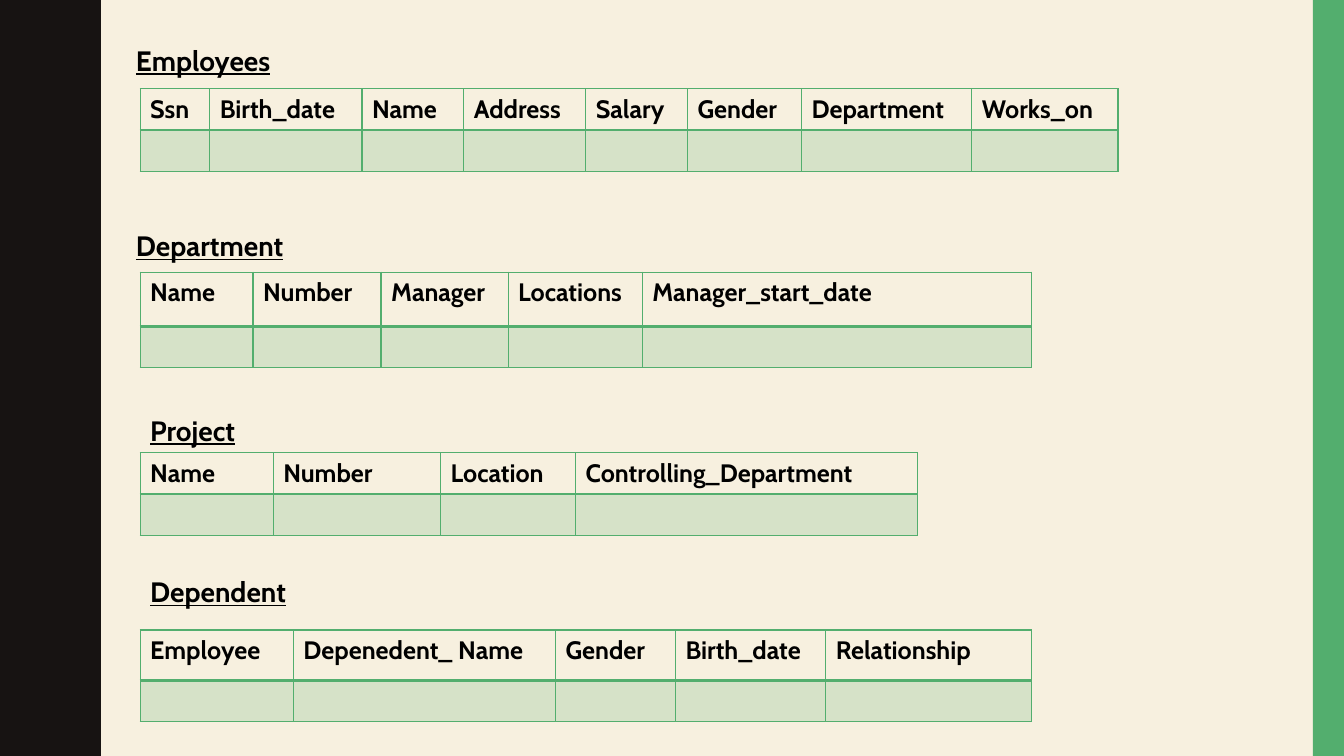
from dataclasses import dataclass

from lxml import etree
from pptx import Presentation
from pptx.dml.color import RGBColor
from pptx.enum.shapes import MSO_SHAPE
from pptx.enum.text import MSO_AUTO_SIZE
from pptx.oxml.ns import qn
from pptx.util import Inches, Pt

RECTANGLE = MSO_SHAPE.RECTANGLE
FIT_SHAPE = MSO_AUTO_SIZE.SHAPE_TO_FIT_TEXT

# Content: caption, its left and top, table top, header height, (column, width)
RELATIONS = [
    ("Employees", 1.25, 0.38, 0.88, 0.41, [
        ("Ssn", 0.69), ("Birth_date", 1.51), ("Name", 1.01), ("Address", 1.21),
        ("Salary", 1.01), ("Gender", 1.13), ("Department", 1.69), ("Works_on", 1.45)]),
    ("Department", 1.25, 2.22, 2.7, 0.54, [
        ("Name", 1.12), ("Number", 1.27), ("Manager", 1.26), ("Locations", 1.33),
        ("Manager_start_date", 3.86)]),
    ("Project", 1.39, 4.05, 4.49, 0.41, [
        ("Name", 1.32), ("Number", 1.66), ("Location", 1.34),
        ("Controlling_Department", 3.39)]),
    ("Dependent", 1.39, 5.65, 6.25, 0.5, [
        ("Employee", 1.52), ("Depenedent_ Name", 2.6), ("Gender", 1.19),
        ("Birth_date", 1.49), ("Relationship", 2.04)]),
]

# Layout in inches
SLIDE_WIDTH, SLIDE_HEIGHT = 13.33, 7.5
TABLE_LEFT = 1.39
BODY_HEIGHT = 0.41
CAPTION_WIDTH, CAPTION_HEIGHT = 3.79, 0.44
STRIPE_WIDTH = 0.31
WAVE_PERIOD, WAVE_COUNT = 1.5, 5
HALF_WAVE = [
    (0.78, 0), (0.78, 0.07), (0.79, 0.14), (0.8, 0.2), (0.81, 0.25),
    (0.83, 0.29), (0.85, 0.33), (0.87, 0.38), (0.89, 0.42), (0.91, 0.46),
    (0.93, 0.5), (0.95, 0.55), (0.96, 0.61), (0.97, 0.68), (0.97, 0.75)]


@dataclass(frozen=True)
class Theme:
    font: str = "Cabin"
    background: str = "F7F0DF"
    dark: str = "171312"
    green: str = "53AE6E"
    text: str = "000000"
    caption_size: int = 20
    cell_size: int = 18
    thin: int = 1
    thick: int = 2
    body_alpha: int = 20


THEME = Theme()


def color(value):
    return RGBColor.from_string(value)


def paint(shape, value):
    shape.shadow.inherit = False
    shape.fill.solid()
    shape.fill.fore_color.rgb = color(value)
    shape.line.fill.background()


def add_text(paragraph, text, size, underline=False):
    run = paragraph.add_run()
    run.text = text
    font = run.font
    font.name = THEME.font
    font.size = Pt(size)
    font.bold = True
    font.underline = underline
    font.color.rgb = color(THEME.text)


def add_borders(cell, bottom_width):
    properties = cell._tc.get_or_add_tcPr()
    for side in "LRTB":
        width = bottom_width if side == "B" else THEME.thin
        line = etree.SubElement(properties, qn(f"a:ln{side}"), w=str(Pt(width)))
        fill = etree.SubElement(line, qn("a:solidFill"))
        etree.SubElement(fill, qn("a:srgbClr"), val=THEME.green)


def tint(cell):
    cell.fill.solid()
    cell.fill.fore_color.rgb = color(THEME.green)
    fill_color = cell._tc.tcPr.find(qn("a:solidFill")).find(qn("a:srgbClr"))
    etree.SubElement(fill_color, qn("a:alpha"), val=str(THEME.body_alpha * 1000))


def add_edges(slide):
    # Wavy band on the left: each wave is a half wave and its mirror
    mirrored = [(x, WAVE_PERIOD - y) for x, y in reversed(HALF_WAVE[:-1])]
    edge = [(x, y + number * WAVE_PERIOD)
            for number in range(WAVE_COUNT) for x, y in HALF_WAVE + mirrored]
    builder = slide.shapes.build_freeform(0, 0, scale=Inches(1))
    builder.add_line_segments(edge + [(0, SLIDE_HEIGHT)], close=True)
    paint(builder.convert_to_shape(), THEME.dark)

    # Stripe on the right
    stripe = slide.shapes.add_shape(
        RECTANGLE, Inches(SLIDE_WIDTH - STRIPE_WIDTH), 0,
        Inches(STRIPE_WIDTH), Inches(SLIDE_HEIGHT))
    paint(stripe, THEME.green)


def add_caption(slide, text, left, top):
    box = slide.shapes.add_textbox(
        Inches(left), Inches(top), Inches(CAPTION_WIDTH), Inches(CAPTION_HEIGHT))
    frame = box.text_frame
    frame.word_wrap = True
    frame.auto_size = FIT_SHAPE
    add_text(frame.paragraphs[0], text, THEME.caption_size, underline=True)


def add_relation_table(slide, top, header_height, columns):
    width = sum(column_width for _, column_width in columns)
    table = slide.shapes.add_table(
        2, len(columns), Inches(TABLE_LEFT), Inches(top),
        Inches(width), Inches(header_height + BODY_HEIGHT)).table
    table.horz_banding = False
    table.rows[0].height = Inches(header_height)
    table.rows[1].height = Inches(BODY_HEIGHT)
    for index, (name, column_width) in enumerate(columns):
        table.columns[index].width = Inches(column_width)
        header, body = table.cell(0, index), table.cell(1, index)
        add_borders(header, THEME.thick)
        header.fill.background()
        add_text(header.text_frame.paragraphs[0], name, THEME.cell_size)
        add_borders(body, THEME.thin)
        tint(body)


def main():
    presentation = Presentation()
    presentation.slide_width = Inches(SLIDE_WIDTH)
    presentation.slide_height = Inches(SLIDE_HEIGHT)
    slide = presentation.slides.add_slide(presentation.slide_layouts.get_by_name("Blank"))
    slide.background.fill.solid()
    slide.background.fill.fore_color.rgb = color(THEME.background)

    add_edges(slide)
    for caption, left, caption_top, table_top, header_height, columns in RELATIONS:
        add_caption(slide, caption, left, caption_top)
        add_relation_table(slide, table_top, header_height, columns)
    presentation.save("out.pptx")


if __name__ == "__main__":
    main()
